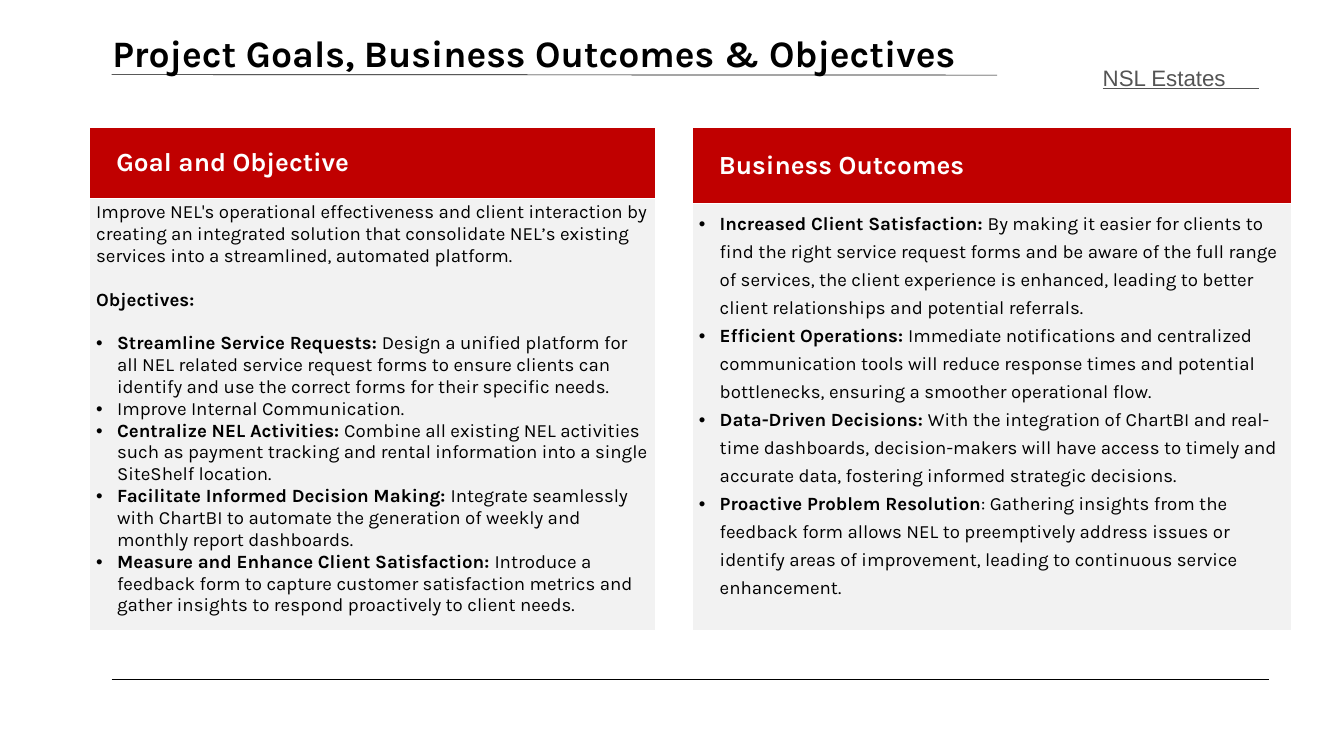
from lxml.etree import SubElement
from pptx import Presentation
from pptx.dml.color import RGBColor
from pptx.enum.shapes import MSO_CONNECTOR
from pptx.enum.text import MSO_ANCHOR, MSO_AUTO_SIZE, PP_ALIGN
from pptx.oxml.ns import qn
from pptx.util import Cm, Pt

RED, GREY, BLACK, WHITE, SLATE = "C00000", "F2F2F2", "000000", "FFFFFF", "545454"

GOALS = [
    ("", "Improve NEL's operational effectiveness and client interaction by creating an "
         "integrated solution that consolidate NEL’s existing services into a streamlined, "
         "automated platform."),
    ("Objectives:", ""),
    ("Streamline Service Requests: ",
     "Design a unified platform for all NEL related service request forms to ensure clients "
     "can identify and use the correct forms for their specific needs."),
    ("", "Improve Internal Communication."),
    ("Centralize NEL Activities: ",
     "Combine all existing NEL activities such as payment tracking and rental information "
     "into a single SiteShelf location."),
    ("Facilitate Informed Decision Making: ",
     "Integrate seamlessly with ChartBI to automate the generation of weekly and monthly "
     "report dashboards."),
    ("Measure and Enhance Client Satisfaction: ",
     "Introduce a feedback form to capture customer satisfaction metrics and gather insights "
     "to respond proactively to client needs."),
]

OUTCOMES = [
    ("Increased Client Satisfaction: ",
     "By making it easier for clients to find the right service request forms and be aware of "
     "the full range of services, the client experience is enhanced, leading to better client "
     "relationships and potential referrals."),
    ("Efficient Operations: ",
     "Immediate notifications and centralized communication tools will reduce response times "
     "and potential bottlenecks, ensuring a smoother operational flow."),
    ("Data-Driven Decisions: ",
     "With the integration of ChartBI and real-time dashboards, decision-makers will have "
     "access to timely and accurate data, fostering informed strategic decisions."),
    ("Proactive Problem Resolution",
     ": Gathering insights from the feedback form allows NEL to preemptively address issues or "
     "identify areas of improvement, leading to continuous service enhancement."),
]


def rgb(color):
    return RGBColor.from_string(color)


def style(r, size, color, bold=False, font="Karla"):
    r.font.name, r.font.size, r.font.bold = font, Pt(size), bold
    r.font.color.rgb = rgb(color)


def set_indent(p, left, hanging=0):
    pPr = p._p.get_or_add_pPr()
    pPr.set("marL", str(Cm(left)))
    pPr.set("indent", str(-Cm(hanging)))


def add_bullet(p):
    set_indent(p, 0.79, 0.79)
    pPr = p._p.get_or_add_pPr()
    SubElement(pPr, qn("a:buFont"), typeface="Arial")
    SubElement(pPr, qn("a:buChar"), char="•")


def add_rule(s, x1, y1, x2, y2, color=BLACK, width=0.75):
    line = s.shapes.add_connector(MSO_CONNECTOR.STRAIGHT, Cm(x1), Cm(y1), Cm(x2), Cm(y2))
    line.line.color.rgb = rgb(color)
    line.line.width = Pt(width)
    SubElement(line._element.spPr, qn("a:effectLst"))


def add_title(s, x, y, w, h, text):
    sp = s.shapes.title
    sp.left, sp.top, sp.width, sp.height = Cm(x), Cm(y), Cm(w), Cm(h)
    tf = sp.text_frame
    tf.text = text
    tf.auto_size = MSO_AUTO_SIZE.NONE
    tf.vertical_anchor = MSO_ANCHOR.MIDDLE
    p = tf.paragraphs[0]
    p.alignment = PP_ALIGN.LEFT
    style(p.runs[0], 40, BLACK, True)
    add_rule(s, x + 0.23, y + 1.83, x + 33.7, y + 1.85)


def add_client_name(s, x, y, w, h, text):
    tf = s.shapes.add_textbox(Cm(x), Cm(y), Cm(w), Cm(h)).text_frame
    tf.margin_left = tf.margin_top = tf.margin_right = tf.margin_bottom = 0
    tf.word_wrap = True
    tf.text = text
    p = tf.paragraphs[0]
    p.line_spacing = Pt(33.5)
    style(p.runs[0], 23.9, SLATE, font="Arial")
    add_rule(s, x, y + h, x + 5.92, y + h, SLATE, 1)


def add_panel(s, x, y, w, h, header_h, heading, items, line_spacing=None):
    """Two-row table: a red heading over a list of (bold lead, text) items."""
    table = s.shapes.add_table(2, 1, Cm(x), Cm(y), Cm(w), Cm(h)).table
    table.horz_banding = False
    table.rows[0].height, table.rows[1].height = Cm(header_h), Cm(h - header_h)
    header, body = table.cell(0, 0), table.cell(1, 0)
    for cell, color in ((header, RED), (body, GREY)):
        cell.fill.solid()
        cell.fill.fore_color.rgb = rgb(color)

    header.vertical_anchor = MSO_ANCHOR.MIDDLE
    header.text_frame.text = heading
    p = header.text_frame.paragraphs[0]
    set_indent(p, 0.76)
    style(p.runs[0], 28, WHITE, True)

    tf = body.text_frame
    bulleted = "Objectives:" not in [lead for lead, _ in items]
    for i, (lead, text) in enumerate(items):
        p = tf.paragraphs[0] if i == 0 else tf.add_paragraph()
        if line_spacing:
            p.line_spacing = Pt(line_spacing)
        if lead == "Objectives:":
            p.space_before = p.space_after = Pt(23.4)
        elif bulleted:
            add_bullet(p)
        for part, bold in ((lead, True), (text, False)):
            if part:
                r = p.add_run()
                r.text = part
                style(r, 20, BLACK, bold)
        bulleted = bulleted or lead == "Objectives:"


def main():
    prs = Presentation()
    prs.slide_width, prs.slide_height = Cm(50.8), Cm(28.58)
    s = prs.slides.add_slide(prs.slide_layouts[5])
    add_title(s, 3.99, 0.99, 44.37, 1.96, "Project Goals, Business Outcomes & Objectives")
    add_client_name(s, 41.68, 2.24, 8.71, 1.12, "NSL Estates")
    add_panel(s, 3.38, 4.8, 21.41, 19.02, 2.69, "Goal and Objective", GOALS)
    add_panel(s, 26.16, 4.8, 22.66, 19.02, 2.9, "Business Outcomes", OUTCOMES, 30)
    add_rule(s, 4.22, 25.68, 47.96, 25.68)
    prs.save("out.pptx")


if __name__ == "__main__":
    main()
